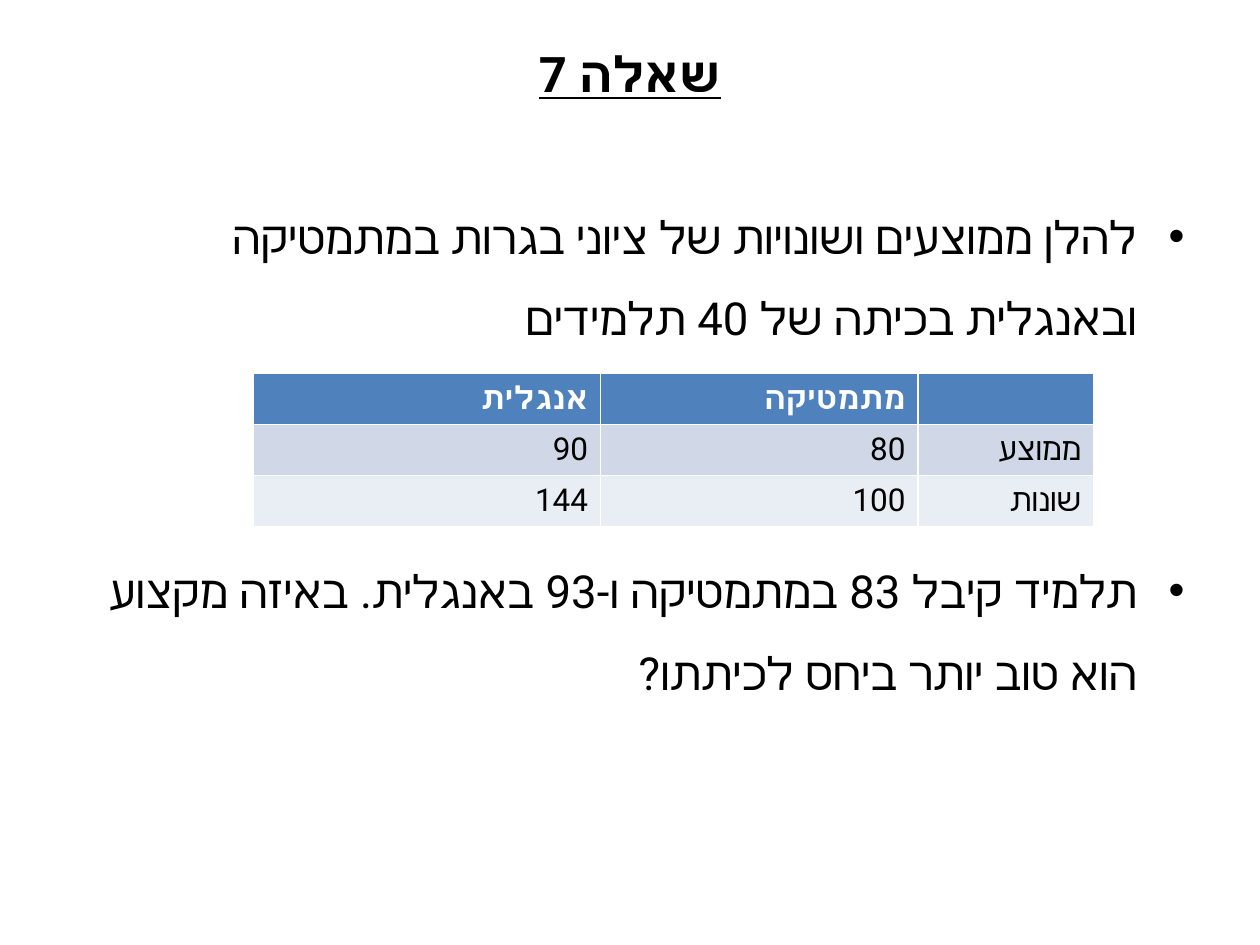
from lxml.etree import SubElement
from pptx import Presentation
from pptx.dml.color import RGBColor
from pptx.enum.text import MSO_ANCHOR, PP_ALIGN
from pptx.oxml.ns import qn
from pptx.util import Cm, Pt

FONT = "Roboto"
BLACK = RGBColor(0x00, 0x00, 0x00)
WHITE = RGBColor(0xFF, 0xFF, 0xFF)
HEADER_BLUE = RGBColor(0x4F, 0x81, 0xBD)
ROW_FILLS = [HEADER_BLUE, RGBColor(0xD0, 0xD8, 0xE8), RGBColor(0xE9, 0xED, 0xF4)]

TITLE = "שאלה 7"
BULLETS = [
    "להלן ממוצעים ושונויות של ציוני בגרות במתמטיקה ובאנגלית בכיתה של 40 תלמידים",
    "תלמיד קיבל 83 במתמטיקה ו-93 באנגלית. באיזה מקצוע הוא טוב יותר ביחס לכיתתו?",
]
GRADES = [
    ["אנגלית", "מתמטיקה", ""],
    ["90", "80", "ממוצע"],
    ["144", "100", "שונות"],
]
COLUMN_WIDTHS = [Cm(7), Cm(6.4), Cm(3.54)]
ROW_HEIGHT = Cm(1.03)
BULLET_INDENT = Cm(0.95)
TABLE_GAP = Pt(109)

TITLE_FORMAT = {"size": Pt(28), "bold": True, "underline": True}
BODY_FORMAT = {"size": Pt(26)}
HEADER_FORMAT = {"size": Pt(18), "bold": True}
CELL_FORMAT = {"size": Pt(18), "bold": False}


def write_rtl(paragraph, text, formats, color=BLACK, alignment=PP_ALIGN.RIGHT):
    """Fill a right-to-left paragraph, naming the font for Hebrew as well."""
    paragraph.alignment = alignment
    paragraph._p.get_or_add_pPr().set("rtl", "1")
    run = paragraph.add_run()
    run.text = text
    run.font.name = FONT
    run.font.color.rgb = color
    for name, value in formats.items():
        setattr(run.font, name, value)
    SubElement(run._r.get_or_add_rPr(), qn("a:cs")).set("typeface", FONT)


def add_bullet(paragraph):
    properties = paragraph._p.get_or_add_pPr()
    properties.set("marL", str(BULLET_INDENT))
    properties.set("indent", str(-BULLET_INDENT))
    SubElement(properties, qn("a:buFont")).set("typeface", "Arial")
    SubElement(properties, qn("a:buChar")).set("char", "•")


def add_text_frame(slide, top, height):
    box = slide.shapes.add_textbox(Cm(1.27), top, Cm(22.86), height)
    frame = box.text_frame
    frame.word_wrap = True
    frame.vertical_anchor = MSO_ANCHOR.TOP
    return frame


def add_grades_table(slide):
    table = slide.shapes.add_table(
        len(GRADES), len(COLUMN_WIDTHS), Cm(5.11), Cm(7.53),
        sum(COLUMN_WIDTHS), ROW_HEIGHT * len(GRADES)).table
    for column, width in zip(table.columns, COLUMN_WIDTHS):
        column.width = width
    for row_index, (values, fill) in enumerate(zip(GRADES, ROW_FILLS)):
        is_header = row_index == 0
        for column_index, value in enumerate(values):
            cell = table.cell(row_index, column_index)
            cell.fill.solid()
            cell.fill.fore_color.rgb = fill
            if value:
                write_rtl(cell.text_frame.paragraphs[0], value,
                          HEADER_FORMAT if is_header else CELL_FORMAT,
                          WHITE if is_header else BLACK)


def main():
    presentation = Presentation()
    presentation.slide_width, presentation.slide_height = Cm(25.4), Cm(19.05)
    slide = presentation.slides.add_slide(presentation.slide_layouts[6])

    title = add_text_frame(slide, Cm(0.76), Cm(2.77))
    write_rtl(title.paragraphs[0], TITLE, TITLE_FORMAT, alignment=PP_ALIGN.CENTER)

    body = add_text_frame(slide, Cm(3.53), Cm(14.12))
    for index, text in enumerate(BULLETS):
        paragraph = body.add_paragraph() if index else body.paragraphs[0]
        add_bullet(paragraph)
        paragraph.line_spacing = 1.5
        if index:
            paragraph.space_before = TABLE_GAP
        write_rtl(paragraph, text, BODY_FORMAT)

    add_grades_table(slide)
    presentation.save("out.pptx")


if __name__ == "__main__":
    main()
